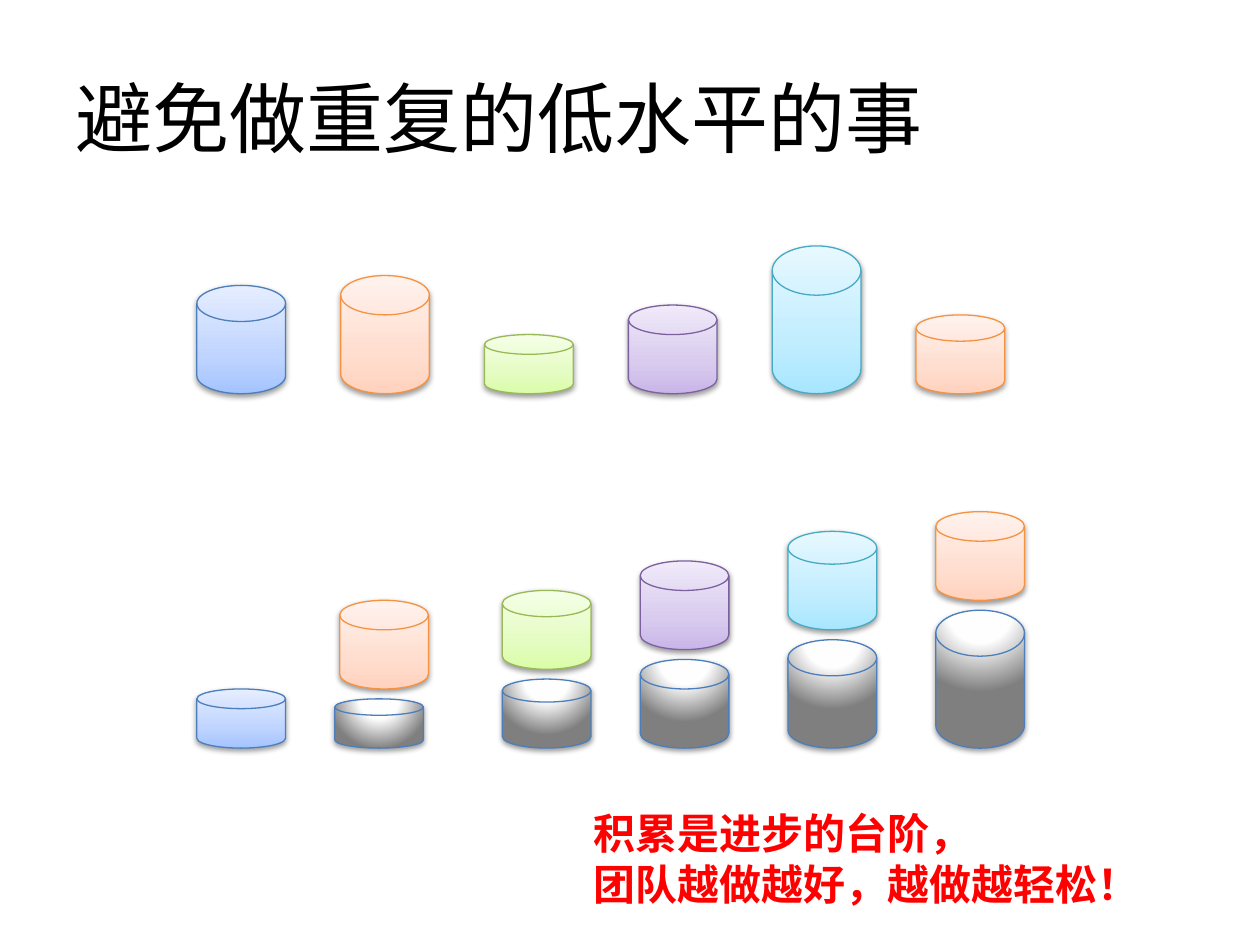
from lxml import etree
from pptx import Presentation
from pptx.dml.color import RGBColor
from pptx.enum.shapes import MSO_SHAPE
from pptx.enum.text import MSO_ANCHOR, MSO_AUTO_SIZE, PP_ALIGN
from pptx.oxml.ns import qn
from pptx.util import Pt

DISK = MSO_SHAPE.FLOWCHART_MAGNETIC_DISK
LEFT = PP_ALIGN.LEFT
MIDDLE = MSO_ANCHOR.MIDDLE
FIT_SHAPE = MSO_AUTO_SIZE.SHAPE_TO_FIT_TEXT
TITLE_ONLY = 5

UNIT = 5.63  # grid step in points; all disks are sized in whole steps
DISK_WIDTH = 9 * UNIT
FIRST_LEFT = 112.5
TOP_ROW_PITCH = 82.2
TOP_ROW_BASE = 225
BOTTOM_ROW_BASE = 427.5

# Outline colour and gradient stops (position in percent, colour)
BLUE = ("4B7EBC", [(0, "A4C4FF"), (35, "BFD4FF"), (100, "E6EEFF")])
ORANGE = ("F69240", [(0, "FFD2BD"), (35, "FFDED0"), (100, "FFF2ED")])
GREEN = ("98B955", [(0, "DAFDA7"), (35, "E4FCC2"), (100, "F5FFE7")])
PURPLE = ("7D60A0", [(0, "C9B5E8"), (35, "D8CBEE"), (100, "F0EAF9")])
CYAN = ("46AAC5", [(0, "A7E6FF"), (35, "C1EDFF"), (100, "E7F8FF")])
GREY = ("4B7EBC", [(0, "FFFFFF"), (40, "FEFEFE"), (100, "7F7F7F")])

# Separate efforts: colour and height in steps
SEPARATE = [(BLUE, 11), (ORANGE, 12), (GREEN, 6), (PURPLE, 9), (CYAN, 15), (ORANGE, 8)]
# New efforts: colour, height, offset from the first disk, all in steps
NEW_WORK = [(BLUE, 6, 0), (ORANGE, 9, 14.5), (GREEN, 8, 31),
            (PURPLE, 9, 45), (CYAN, 10, 60), (ORANGE, 9, 75)]
# Accumulated work underneath, from the second effort on: height and offset
ACCUMULATED = [(5, 14), (7, 31), (9, 45), (11, 60), (14, 75)]


def rgb(value):
    return RGBColor.from_string(value)


def add_xml(parent, tag, **attributes):
    return etree.SubElement(parent, qn(tag), {k: str(v) for k, v in attributes.items()})


class SlideBuilder:
    font = "DejaVu Sans"

    def __init__(self, slide):
        self.slide = slide

    def style(self, paragraph, size, color, bold=False):
        paragraph.alignment = LEFT
        font = paragraph.font
        font.name, font.size, font.bold = self.font, Pt(size), bold
        font.color.rgb = rgb(color)

    def title(self, text):
        title = self.slide.shapes.title
        title.left, title.top, title.width, title.height = Pt(36), Pt(21.6), Pt(648), Pt(90)
        title.text_frame.text = text
        title.text_frame.vertical_anchor = MIDDLE
        self.style(title.text_frame.paragraphs[0], 44, "000000")

    def disk(self, left, base, steps, scheme, radial=False):
        """Draw a disk of the given height in steps, standing on base."""
        height = steps * UNIT
        disk = self.slide.shapes.add_shape(
            DISK, Pt(left), Pt(base - height), Pt(DISK_WIDTH), Pt(height))
        outline, stops = scheme
        disk.line.color.rgb = rgb(outline)
        disk.line.width = Pt(0.75)
        self.gradient(disk, stops, radial)
        self.shadow(disk)

    def gradient(self, shape, stops, radial):
        gradient = etree.Element(qn("a:gradFill"), rotWithShape="1")
        stop_list = add_xml(gradient, "a:gsLst")
        for position, color in stops:
            stop = add_xml(stop_list, "a:gs", pos=position * 1000)
            add_xml(stop, "a:srgbClr", val=color)
        if radial:
            circle = add_xml(gradient, "a:path", path="circle")
            add_xml(circle, "a:fillToRect", l=50000, t=-80000, r=50000, b=180000)
        else:
            add_xml(gradient, "a:lin", ang=270 * 60000, scaled=1)
        shape._element.spPr.find(qn("a:prstGeom")).addnext(gradient)

    def shadow(self, shape):
        shape.shadow.inherit = False
        effects = shape._element.spPr.find(qn("a:effectLst"))
        shadow = add_xml(effects, "a:outerShdw", blurRad=Pt(3.15), dist=Pt(1.57),
                         dir=90 * 60000, rotWithShape=0)
        color = add_xml(shadow, "a:srgbClr", val="000000")
        add_xml(color, "a:alpha", val=38000)

    def message(self, left, top, width, height, lines):
        box = self.slide.shapes.add_textbox(Pt(left), Pt(top), Pt(width), Pt(height))
        frame = box.text_frame
        frame.word_wrap = True
        frame.auto_size = FIT_SHAPE
        frame.text = "\n".join(lines)
        for paragraph in frame.paragraphs:
            self.style(paragraph, 24, "FF0000", bold=True)


def main():
    presentation = Presentation()
    presentation.slide_width, presentation.slide_height = Pt(720), Pt(540)
    layout = presentation.slide_layouts[TITLE_ONLY]
    builder = SlideBuilder(presentation.slides.add_slide(layout))

    builder.title("避免做重复的低水平的事")
    for column, (scheme, steps) in enumerate(SEPARATE):
        builder.disk(FIRST_LEFT + column * TOP_ROW_PITCH, TOP_ROW_BASE, steps, scheme)

    # Each new effort floats one step above what was accumulated before it
    lifts = [0] + [steps + 1 for steps, _ in ACCUMULATED]
    for (scheme, steps, offset), lift in zip(NEW_WORK, lifts):
        builder.disk(FIRST_LEFT + offset * UNIT, BOTTOM_ROW_BASE - lift * UNIT, steps, scheme)
    for steps, offset in ACCUMULATED:
        builder.disk(FIRST_LEFT + offset * UNIT, BOTTOM_ROW_BASE, steps, GREY, radial=True)

    builder.message(332, 458, 362, 65.5, ["积累是进步的台阶，", "团队越做越好，越做越轻松！"])
    presentation.save("out.pptx")


if __name__ == "__main__":
    main()
